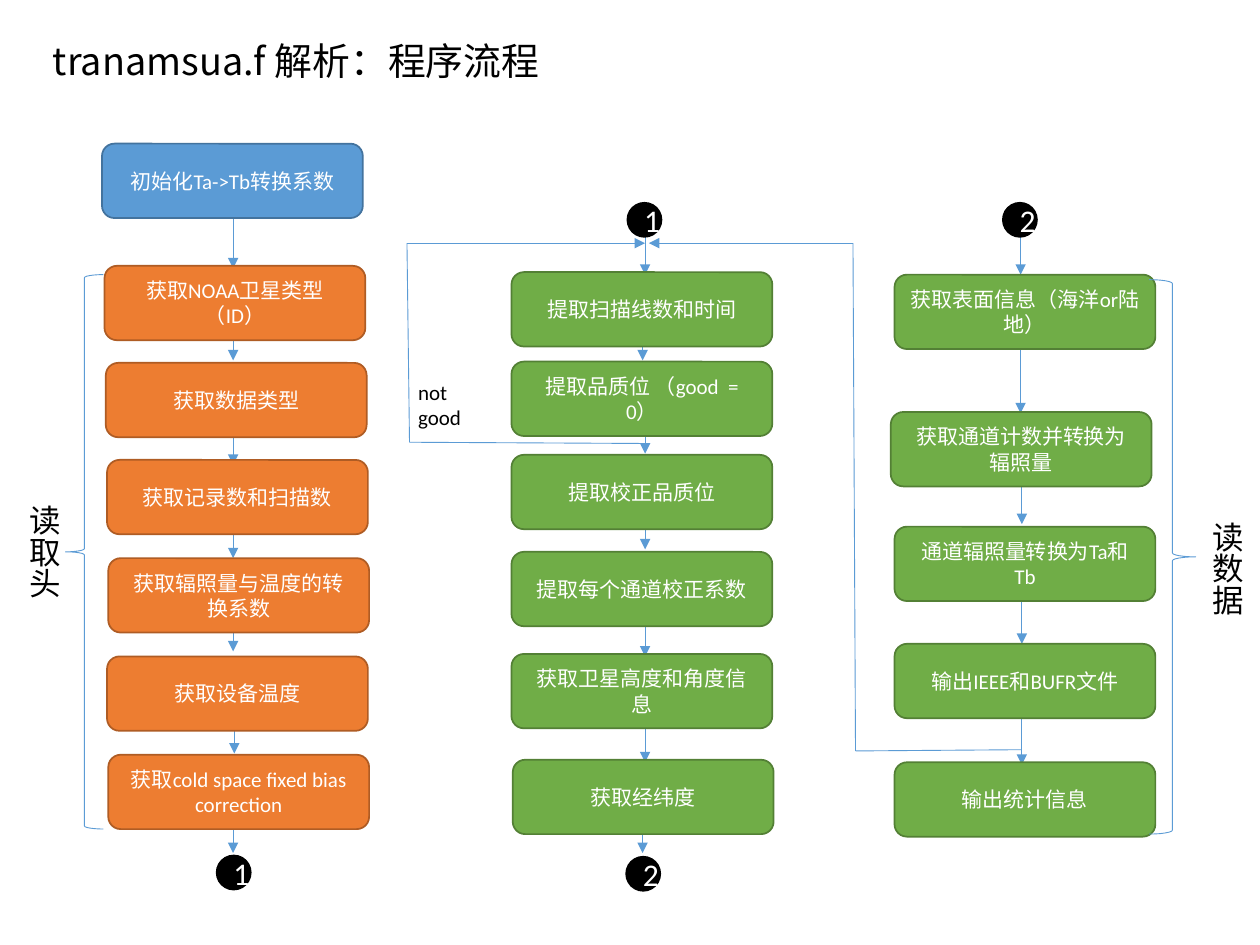
from typing import NamedTuple

from lxml import etree
from pptx import Presentation
from pptx.dml.color import RGBColor
from pptx.enum.shapes import MSO_CONNECTOR, MSO_SHAPE
from pptx.enum.text import MSO_ANCHOR, MSO_AUTO_SIZE, PP_ALIGN
from pptx.oxml.ns import qn
from pptx.util import Inches, Pt

STRAIGHT = MSO_CONNECTOR.STRAIGHT
ROUNDED, OVAL = MSO_SHAPE.ROUNDED_RECTANGLE, MSO_SHAPE.OVAL
LEFT_BRACE, RIGHT_BRACE = MSO_SHAPE.LEFT_BRACE, MSO_SHAPE.RIGHT_BRACE
MIDDLE, TOP = MSO_ANCHOR.MIDDLE, MSO_ANCHOR.TOP
GROW, FIXED = MSO_AUTO_SIZE.SHAPE_TO_FIT_TEXT, MSO_AUTO_SIZE.NONE
CENTER, LEFT = PP_ALIGN.CENTER, PP_ALIGN.LEFT

BLUE, BLUE_EDGE = RGBColor(0x5B, 0x9B, 0xD5), RGBColor(0x43, 0x73, 0x9E)
ORANGE, ORANGE_EDGE = RGBColor(0xED, 0x7D, 0x31), RGBColor(0xAF, 0x5C, 0x24)
GREEN, GREEN_EDGE = RGBColor(0x70, 0xAD, 0x47), RGBColor(0x53, 0x80, 0x35)
BLACK, WHITE = RGBColor(0, 0, 0), RGBColor(0xFF, 0xFF, 0xFF)

LATIN, CHINESE = "Calibri", "Noto Sans CJK SC"
STEP_WIDTH, STEP_HEIGHT = 2.07, 0.59
ARROW_LENGTH, MARKER_SIZE = 0.5, 0.27


class Step(NamedTuple):
    left: float
    top: float
    text: str
    fill: RGBColor = GREEN
    edge: RGBColor = GREEN_EDGE


class Marker(NamedTuple):
    left: float
    top: float
    text: str


class Group(NamedTuple):
    brace: MSO_SHAPE
    brace_box: tuple[float, float, float, float]
    label: str
    label_box: tuple[float, float, float, float]


STEPS = [
    Step(0.81, 1.14, "初始化Ta->Tb转换系数", BLUE, BLUE_EDGE),
    Step(0.83, 2.11, "获取NOAA卫星类型（ID）", ORANGE, ORANGE_EDGE),
    Step(0.84, 2.88, "获取数据类型", ORANGE, ORANGE_EDGE),
    Step(0.85, 3.65, "获取记录数和扫描数", ORANGE, ORANGE_EDGE),
    Step(0.86, 4.43, "获取辐照量与温度的转换系数", ORANGE, ORANGE_EDGE),
    Step(0.85, 5.21, "获取设备温度", ORANGE, ORANGE_EDGE),
    Step(0.86, 5.99, "获取cold space fixed bias correction", ORANGE, ORANGE_EDGE),
    Step(4.06, 2.16, "提取扫描线数和时间"),
    Step(4.06, 2.87, "提取品质位 （good  = 0）"),
    Step(4.06, 3.61, "提取校正品质位"),
    Step(4.06, 4.38, "提取每个通道校正系数"),
    Step(4.06, 5.19, "获取卫星高度和角度信息"),
    Step(4.07, 6.03, "获取经纬度"),
    Step(7.1, 2.18, "获取表面信息（海洋or陆地）"),
    Step(7.07, 3.27, "获取通道计数并转换为辐照量"),
    Step(7.1, 4.18, "通道辐照量转换为Ta和Tb"),
    Step(7.1, 5.11, "输出IEEE和BUFR文件"),
    Step(7.1, 6.05, "输出统计信息"),
]
MARKERS = [
    Marker(1.72, 6.79, "1"),
    Marker(4.98, 1.61, "1"),
    Marker(4.97, 6.8, "2"),
    Marker(7.96, 1.61, "2"),
]
ARROW_TOPS = {
    1.85: [1.63, 2.36, 3.19, 3.93, 4.67, 6.27],
    1.86: [5.48],
    5.1: [2.36, 6.27],
    5.12: [1.68, 3.1, 3.86, 4.71, 5.55],
    8.1: [1.68, 2.78],
    8.11: [3.66, 4.61, 5.57],
}
LOOPS = [
    [(5.12, 3.52), (3.25, 3.51), (3.23, 1.93), (5.12, 1.93)],
    [(8.11, 5.95), (6.79, 5.96), (6.77, 1.93), (5.15, 1.93)],
]
GROUPS = [
    Group(LEFT_BRACE, (0.52, 2.18, 0.3, 4.4), "读取头", (0.05, 3.91, 0.5, 2.06)),
    Group(RIGHT_BRACE, (9.12, 2.22, 0.37, 4.4), "读数据", (9.44, 4.04, 0.5, 2.06)),
]


def write(frame, text: str, *, size: float = 12, color: RGBColor = WHITE,
          latin: str = LATIN, align=CENTER, anchor=MIDDLE, autosize=FIXED,
          spacing: float = 1.0, vertical: bool = False) -> None:
    frame.word_wrap = True
    frame.auto_size = autosize
    frame.vertical_anchor = anchor
    if vertical:
        frame._txBody.bodyPr.set("vert", "eaVert")
    paragraph = frame.paragraphs[0]
    paragraph.alignment = align
    paragraph.line_spacing = spacing
    run = paragraph.add_run()
    run.text = text
    run.font.size = Pt(size)
    run.font.color.rgb = color
    run.font.name = latin
    east_asian = etree.SubElement(run.font._element, qn("a:ea"))
    east_asian.set("typeface", CHINESE)


def add_line(slide, start: tuple[float, float], end: tuple[float, float],
             arrow: bool = True) -> None:
    line = slide.shapes.add_connector(STRAIGHT, *map(Inches, start + end))
    line.line.color.rgb = BLUE
    line.line.width = Pt(0.5)
    if arrow:
        head = etree.SubElement(line.line._get_or_add_ln(), qn("a:tailEnd"))
        head.set("type", "triangle")
    etree.SubElement(line._element.spPr, qn("a:effectLst"))


def add_outline(slide, preset, box: tuple[float, float, float, float],
                edge: RGBColor, width: float, fill: RGBColor | None = None):
    outline = slide.shapes.add_shape(preset, *map(Inches, box))
    outline.shadow.inherit = False
    outline.line.color.rgb = edge
    outline.line.width = Pt(width)
    if fill is None:
        outline.fill.background()
    else:
        outline.fill.solid()
        outline.fill.fore_color.rgb = fill
    return outline


def add_label(slide, box: tuple[float, float, float, float], text: str,
              size: float, vertical: bool = False) -> None:
    label = slide.shapes.add_textbox(*map(Inches, box))
    write(label.text_frame, text, size=size, color=BLACK, align=LEFT,
          anchor=TOP, autosize=GROW, vertical=vertical)


def add_step(slide, step: Step) -> None:
    box = (step.left, step.top, STEP_WIDTH, STEP_HEIGHT)
    body = add_outline(slide, ROUNDED, box, step.edge, 1, step.fill)
    write(body.text_frame, step.text)


def add_marker(slide, marker: Marker) -> None:
    box = (marker.left, marker.top, MARKER_SIZE, MARKER_SIZE)
    disc = add_outline(slide, OVAL, box, BLACK, 1, BLACK)
    write(disc.text_frame, marker.text, size=18)


def add_group(slide, group: Group) -> None:
    add_outline(slide, group.brace, group.brace_box, BLUE, 0.5)
    add_label(slide, group.label_box, group.label, 18, vertical=True)


def add_loop(slide, corners: list[tuple[float, float]]) -> None:
    for start, end in zip(corners, corners[1:]):
        add_line(slide, start, end, arrow=end == corners[-1])


def main() -> None:
    deck = Presentation()
    deck.slide_width, deck.slide_height = Inches(10), Inches(7.5)
    slide = deck.slides.add_slide(deck.slide_layouts[5])

    title = slide.shapes.title
    title.left, title.top = Inches(0.32), Inches(0.28)
    title.width, title.height = Inches(8.62), Inches(0.45)
    write(title.text_frame, "tranamsua.f 解析：程序流程", size=21.6, color=BLACK,
          latin=CHINESE, align=LEFT, spacing=0.9)

    for x, tops in ARROW_TOPS.items():
        for top in tops:
            add_line(slide, (x, top), (x, top + ARROW_LENGTH))
    for step in STEPS:
        add_step(slide, step)
    for marker in MARKERS:
        add_marker(slide, marker)
    for corners in LOOPS:
        add_loop(slide, corners)
    add_label(slide, (3.22, 2.96, 0.75, 0.5), "not good", 12)
    for group in GROUPS:
        add_group(slide, group)

    deck.save("out.pptx")


main()
